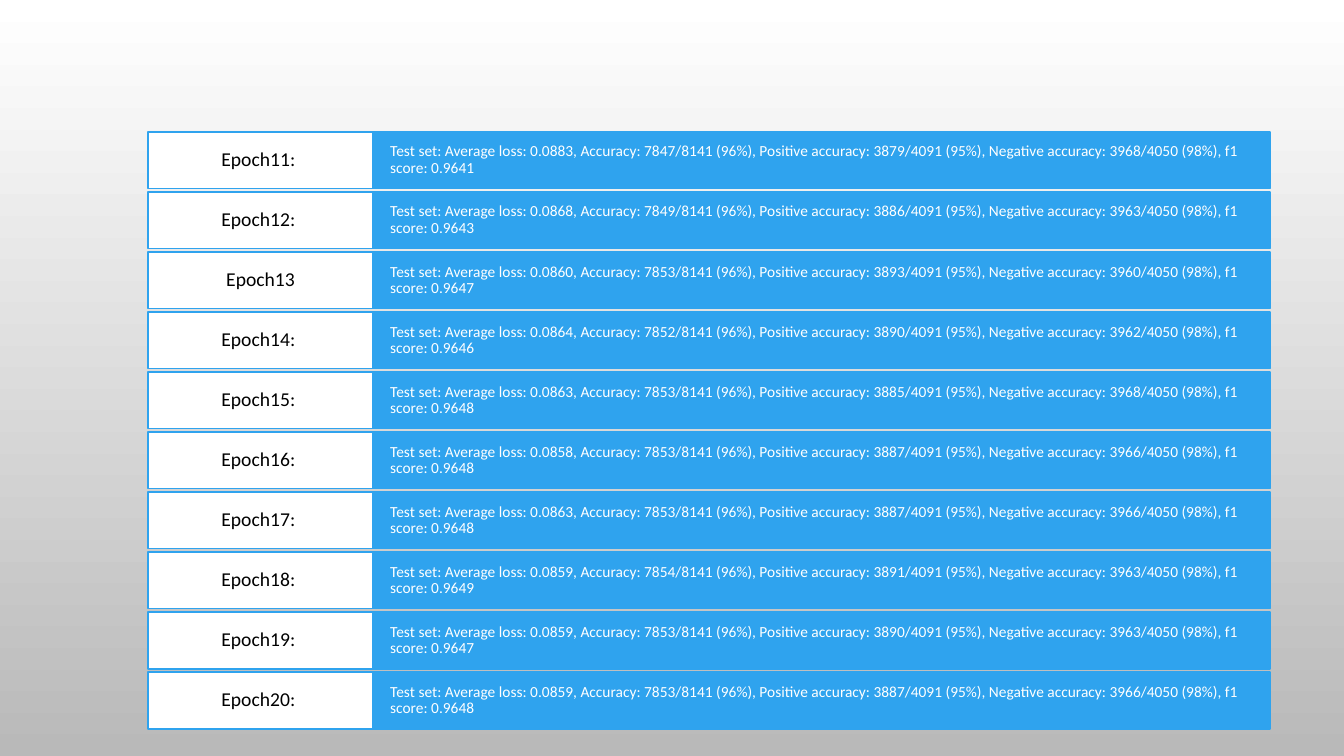
"""Build a slide listing the test results of epochs 11 to 20."""
from pptx import Presentation
from pptx import util as u
from pptx.dml.color import RGBColor
from pptx.enum import shapes, text

COLORS = {"blue": "2FA3EE", "white": "FFFFFF", "black": "000000", "gray": "B9B9B9"}
RESULTS = [
    ("Epoch11: ", "0.0883", 3879, 3968, "0.9641"),
    ("Epoch12: ", "0.0868", 3886, 3963, "0.9643"),
    ("Epoch13", "0.0860", 3893, 3960, "0.9647"),
    ("Epoch14: ", "0.0864", 3890, 3962, "0.9646"),
    ("Epoch15: ", "0.0863", 3885, 3968, "0.9648"),
    ("Epoch16: ", "0.0858", 3887, 3966, "0.9648"),
    ("Epoch17: ", "0.0863", 3887, 3966, "0.9648"),
    ("Epoch18: ", "0.0859", 3891, 3963, "0.9649"),
    ("Epoch19: ", "0.0859", 3890, 3963, "0.9647"),
    ("Epoch20: ", "0.0859", 3887, 3966, "0.9648"),
]
POS, NEG = 4091, 4050
LEFT, SPLIT, RIGHT = 1.47, 3.7, 12.6
TOP, LAST, HEIGHT = 1.31, 6.67, 0.56
PITCH = (LAST - TOP) / (len(RESULTS) - 1)


def color(name):
    return RGBColor.from_string(COLORS[name])


def add_bar(slide, label, left, right, top, fill, ink, size, align, inset):
    bar = slide.shapes.add_shape(
        shapes.MSO_SHAPE.RECTANGLE,
        u.Inches(left), u.Inches(top), u.Inches(right - left), u.Inches(HEIGHT))
    bar.shadow.inherit = False
    bar.fill.solid()
    bar.fill.fore_color.rgb = color(fill)
    bar.line.color.rgb = color("blue")
    bar.line.width = u.Pt(1.25)
    frame = bar.text_frame
    frame.word_wrap = True
    frame.vertical_anchor = text.MSO_ANCHOR.MIDDLE
    frame.margin_left = frame.margin_right = u.Inches(inset[0])
    frame.margin_top = frame.margin_bottom = u.Inches(inset[1])
    frame.text = label
    para = frame.paragraphs[0]
    para.alignment = align
    para.line_spacing = 0.9
    font = para.runs[0].font
    font.name = "Calibri"
    font.size = u.Pt(size)
    font.color.rgb = color(ink)


deck = Presentation()
deck.slide_width, deck.slide_height = u.Inches(13.33), u.Inches(7.5)
slide = deck.slides.add_slide(deck.slide_layouts[6])

back = slide.background.fill
back.gradient()
back.gradient_angle = 270
for stop, name in zip(back.gradient_stops, ("white", "gray")):
    stop.color.rgb = color(name)

for row, (epoch, loss, pos, neg, score) in enumerate(RESULTS):
    top = TOP + row * PITCH
    hits, total = pos + neg, POS + NEG
    result = (
        f"Test set: Average loss: {loss}, "
        f"Accuracy: {hits}/{total} ({hits / total:.0%}), "
        f"Positive accuracy: {pos}/{POS} ({pos / POS:.0%}), "
        f"Negative accuracy: {neg}/{NEG} ({neg / NEG:.0%}), f1 score: {score}")
    add_bar(slide, result, SPLIT, RIGHT, top, "blue", "white", 11,
            text.PP_ALIGN.LEFT, (0.17, 0.14))
    add_bar(slide, epoch, LEFT, SPLIT, top, "white", "black", 14,
            text.PP_ALIGN.CENTER, (0.12, 0.06))

deck.save("out.pptx")
